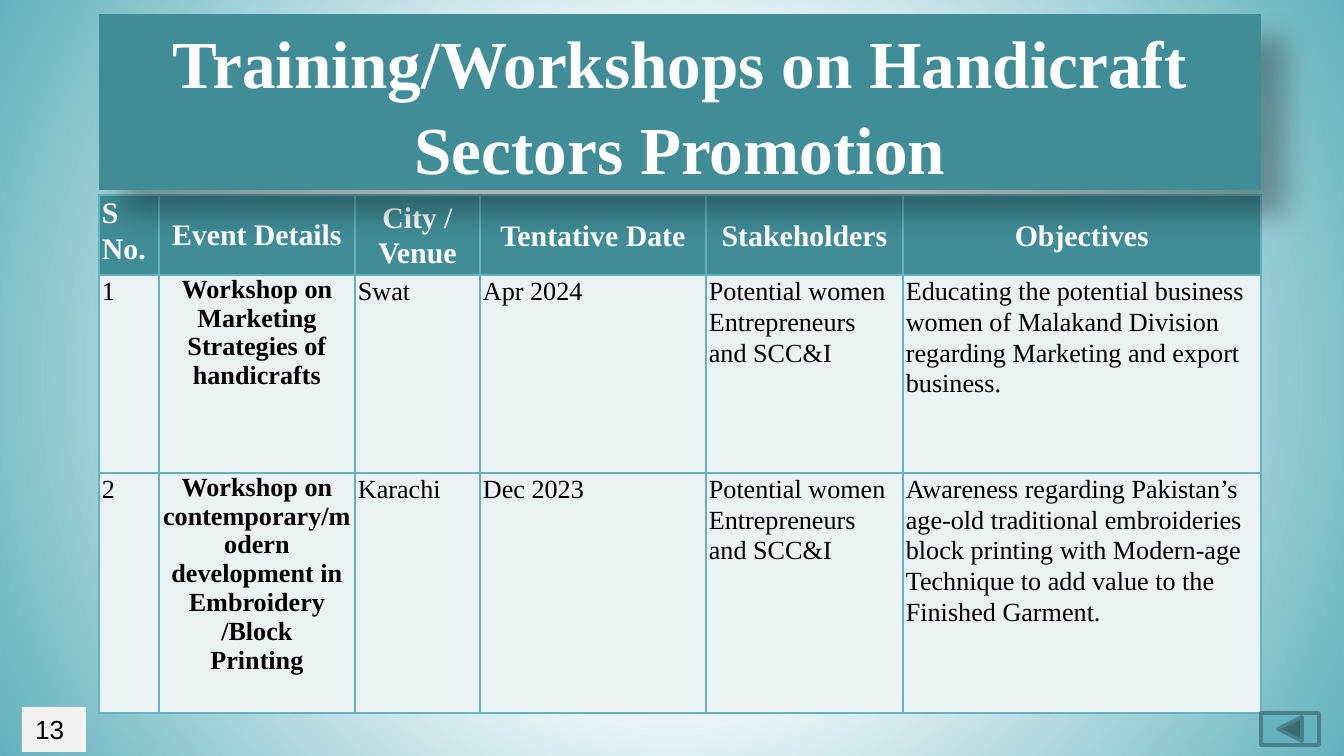
from itertools import product

from lxml import etree
from pptx import Presentation
from pptx import util as u
from pptx.dml.color import RGBColor
from pptx.enum import shapes, text
from pptx.oxml import parse_xml
from pptx.oxml.ns import nsdecls, qn

TITLE = "Training/Workshops on Handicraft Sectors Promotion"
PAGE_NUMBER = "13"
HEADER = ["S No.", "Event Details", "City / Venue", "Tentative Date", "Stakeholders", "Objectives"]
AUDIENCE = "Potential women Entrepreneurs and SCC&I"
EVENTS = [
    ["1", "Workshop on Marketing Strategies of handicrafts", "Swat", "Apr 2024", AUDIENCE,
     "Educating the potential business women of Malakand Division regarding Marketing and "
     "export business."],
    ["2", "Workshop on contemporary/modern development in Embroidery\n/Block\nPrinting",
     "Karachi", "Dec 2023", AUDIENCE,
     "Awareness regarding Pakistan’s age-old traditional embroideries block printing with "
     "Modern-age Technique to add value to the Finished Garment."],
]
COLUMN_WIDTHS = [60, 196, 125, 226, 197, 358]
ROW_HEIGHTS = [80, 198, 240]
LEFT, TABLE_TOP = 99, 195
WIDTH = sum(COLUMN_WIDTHS)
EVENT_COLUMN = 1

TEAL = RGBColor(0x40, 0x8D, 0x97)
AQUA = RGBColor(0x63, 0xB2, 0xBD)
EDGE_AQUA = RGBColor(0x62, 0xB2, 0xBD)
BUTTON_LINE = RGBColor(0x48, 0x81, 0x89)
PALE = RGBColor(0xEA, 0xF2, 0xF4)
LIGHT_GREY = RGBColor(0xF2, 0xF2, 0xF2)
WHITE = RGBColor(0xFF, 0xFF, 0xFF)
BLACK = RGBColor(0, 0, 0)
SERIF, SANS = "Times New Roman", "Arial"
LINE_SPACING = 1.07


def px(length):
    return u.Emu(round(length * 914400 / 134.4))


def box(*lengths):
    return [px(length) for length in lengths]


def style(paragraph, font_name, size, color, bold=False, align=text.PP_ALIGN.LEFT, spacing=None):
    font = paragraph.font
    font.name, font.size, font.bold = font_name, u.Pt(size), bold
    font.color.rgb = color
    paragraph.alignment = align
    paragraph.line_spacing = spacing


def set_background(slide):
    stops = "".join(f'<a:gs pos="{pos}"><a:srgbClr val="{color}"/></a:gs>'
                    for pos, color in [(0, WHITE), (35000, WHITE), (100000, EDGE_AQUA)])
    slide.element.cSld.insert(0, parse_xml(
        f'<p:bg {nsdecls("p", "a")}><p:bgPr><a:gradFill rotWithShape="1"><a:gsLst>{stops}</a:gsLst>'
        '<a:path path="circle"><a:fillToRect l="50000" t="50000" r="50000" b="50000"/></a:path>'
        '</a:gradFill><a:effectLst/></p:bgPr></p:bg>'))


def add_borders(cell):
    properties = cell._tc.get_or_add_tcPr()
    for position, side in enumerate(["lnL", "lnR", "lnT", "lnB"]):
        properties.insert(position, parse_xml(
            f'<a:{side} {nsdecls("a")} w="{u.Pt(1)}"><a:solidFill><a:srgbClr val="{AQUA}"/>'
            f'</a:solidFill></a:{side}>'))


def add_events_table(slide):
    content = [HEADER] + EVENTS
    table = slide.shapes.add_table(len(content), len(HEADER),
                                   *box(LEFT, TABLE_TOP, WIDTH, sum(ROW_HEIGHTS))).table
    for column, width in zip(table.columns, COLUMN_WIDTHS):
        column.width = px(width)
    for row, height in zip(table.rows, ROW_HEIGHTS):
        row.height = px(height)
    for r, c in product(range(len(content)), range(len(HEADER))):
        cell = table.cell(r, c)
        is_header, is_event = r == 0, c == EVENT_COLUMN
        cell.text = content[r][c]
        cell.margin_left = cell.margin_right = px(3)
        cell.margin_top = cell.margin_bottom = 0
        cell.fill.solid()
        cell.fill.fore_color.rgb = TEAL if is_header else PALE
        if is_header and c > 0:
            cell.vertical_anchor = text.MSO_ANCHOR.MIDDLE
        centred = is_event or (is_header and c > 0)
        for paragraph in cell.text_frame.paragraphs:
            style(paragraph, SERIF, 16 if is_header else 14, WHITE if is_header else BLACK,
                  bold=is_header or is_event,
                  align=text.PP_ALIGN.CENTER if centred else text.PP_ALIGN.LEFT,
                  spacing=None if is_event else LINE_SPACING)
        add_borders(cell)


def add_back_button(slide):
    button = slide.shapes.add_shape(shapes.MSO_SHAPE.ACTION_BUTTON_BACK_OR_PREVIOUS,
                                    *box(1261, 713, 58, 32))
    button.shadow.inherit = False
    button.fill.solid()
    button.fill.fore_color.rgb = AQUA
    button.line.color.rgb = BUTTON_LINE
    button.line.width = u.Pt(2)


def fill_title(slide):
    title = slide.shapes.title
    title.left, title.top, title.width, title.height = box(LEFT, 14, WIDTH, 176)
    title.fill.solid()
    title.fill.fore_color.rgb = TEAL
    frame = title.text_frame
    frame.text = TITLE
    frame.word_wrap = True
    frame.auto_size = text.MSO_AUTO_SIZE.NONE
    frame.vertical_anchor = text.MSO_ANCHOR.MIDDLE
    style(frame.paragraphs[0], SERIF, 36, WHITE, True, text.PP_ALIGN.CENTER, LINE_SPACING)
    effects = etree.SubElement(title.element.spPr, qn("a:effectLst"))
    effects.append(parse_xml(
        f'<a:outerShdw {nsdecls("a")} blurRad="{u.Pt(15)}" dist="{u.Pt(18)}" dir="2700000" '
        f'algn="tl" rotWithShape="0"><a:srgbClr val="{BLACK}"><a:alpha val="30000"/></a:srgbClr>'
        '</a:outerShdw>'))
    # The title's shadow falls on the table, so it goes in front.
    slide.shapes.element.append(title.element)


def add_page_number(slide):
    number = slide.shapes.add_shape(shapes.MSO_SHAPE.RECTANGLE, *box(22, 707, 64, 45))
    number.shadow.inherit = False
    number.fill.solid()
    number.fill.fore_color.rgb = LIGHT_GREY
    number.line.fill.background()
    number.text_frame.text = PAGE_NUMBER
    style(number.text_frame.paragraphs[0], SANS, 14, BLACK)


def main():
    deck = Presentation()
    deck.slide_width, deck.slide_height = box(1344, 756)
    slide = deck.slides.add_slide(deck.slide_layouts.get_by_name("Title Only"))
    set_background(slide)
    add_events_table(slide)
    add_back_button(slide)
    fill_title(slide)
    add_page_number(slide)
    deck.save("out.pptx")


if __name__ == "__main__":
    main()
